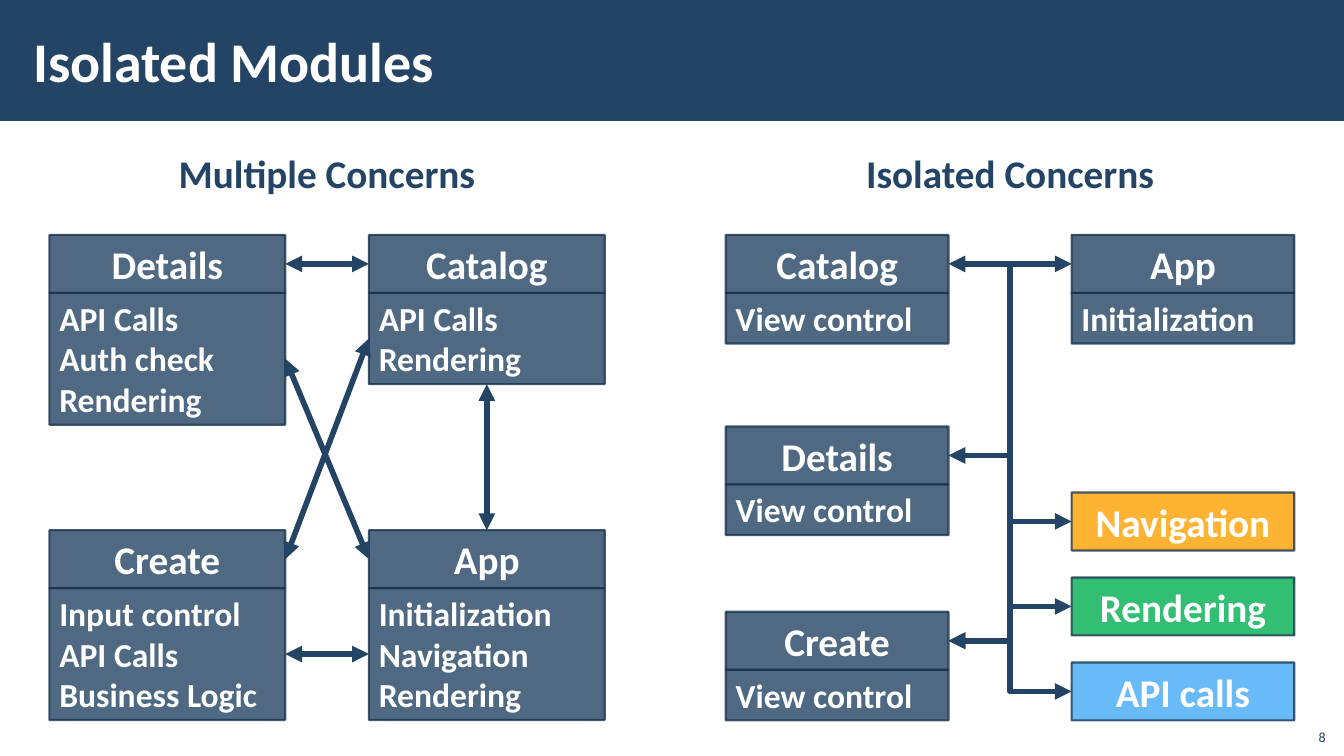
from lxml import etree
from pptx import Presentation
from pptx.dml.color import RGBColor
from pptx.enum.shapes import MSO_CONNECTOR, MSO_SHAPE
from pptx.enum.text import MSO_ANCHOR, PP_ALIGN
from pptx.oxml.ns import qn
from pptx.util import Pt

RECTANGLE = MSO_SHAPE.RECTANGLE
STRAIGHT, ELBOW = MSO_CONNECTOR.STRAIGHT, MSO_CONNECTOR.ELBOW
TOP, MIDDLE, BOTTOM = MSO_ANCHOR.TOP, MSO_ANCHOR.MIDDLE, MSO_ANCHOR.BOTTOM
LEFT, CENTER, RIGHT = PP_ALIGN.LEFT, PP_ALIGN.CENTER, PP_ALIGN.RIGHT

NAVY = RGBColor(0x23, 0x44, 0x65)
OUTLINE = RGBColor(0x1A, 0x33, 0x4C)
WHITE = RGBColor(0xFF, 0xFF, 0xFF)
ORANGE = RGBColor(0xFF, 0xA0, 0x00)
GREEN = RGBColor(0x00, 0xB0, 0x50)
BLUE = RGBColor(0x44, 0xA9, 0xF8)

FONT = "Calibri"
SLIDE_WIDTH, SLIDE_HEIGHT = 960, 540
HEADER_HEIGHT = 41.4
# Connection sites of a rectangle
SITE_TOP, SITE_LEFT, SITE_BOTTOM, SITE_RIGHT = range(4)


def write_text(shape, text, size, color, bold=True, align=LEFT, anchor=TOP,
               spacing=None):
    frame = shape.text_frame
    frame.text = text
    frame.word_wrap = True
    frame.vertical_anchor = anchor
    for paragraph in frame.paragraphs:
        paragraph.alignment = align
        if spacing:
            paragraph.line_spacing = spacing
        for run in paragraph.runs:
            run.font.name = FONT
            run.font.size = Pt(size)
            run.font.bold = bold
            run.font.color.rgb = color


def add_label(slide, box, text, size, color, **text_format):
    shape = slide.shapes.add_textbox(*map(Pt, box))
    write_text(shape, text, size, color, **text_format)
    return shape


def make_translucent(fill_parent):
    """Give the solid fill under an element 80 % opacity."""
    color = fill_parent.find(qn("a:solidFill"))[0]
    etree.SubElement(color, qn("a:alpha")).set("val", "80000")


def add_block(slide, box, text, size, fill=NAVY, **text_format):
    shape = slide.shapes.add_shape(RECTANGLE, *map(Pt, box))
    shape.shadow.inherit = False
    shape.fill.solid()
    shape.fill.fore_color.rgb = fill
    shape.line.color.rgb = OUTLINE
    shape.line.width = Pt(1.5)
    properties = shape._element.spPr
    make_translucent(properties)
    make_translucent(properties.find(qn("a:ln")))
    write_text(shape, text, size, WHITE, **text_format)
    return shape


def add_header(slide, left, top, width, name, fill=NAVY):
    return add_block(slide, (left, top, width, HEADER_HEIGHT), name, 28, fill,
                     align=CENTER, anchor=MIDDLE)


def add_module(slide, left, top, width, name, concerns):
    """Draw a module and return its header and its list of concerns."""
    body_height = 7.2 + 29 * len(concerns)
    body_box = (left, top + HEADER_HEIGHT, width, body_height)
    body = add_block(slide, body_box, "\n".join(concerns), 24)
    return add_header(slide, left, top, width, name), body


def add_link(slide, kind, start, start_site, end, end_site):
    """Join two blocks with a two-headed arrow."""
    link = slide.shapes.add_connector(kind, 0, 0, 0, 0)
    link.begin_connect(start, start_site)
    link.end_connect(end, end_site)
    link.line.color.rgb = NAVY
    link.line.width = Pt(4)
    line = link.line._get_or_add_ln()
    for arrow_end in ("a:headEnd", "a:tailEnd"):
        etree.SubElement(line, qn(arrow_end)).set("type", "triangle")
    etree.SubElement(link._element.spPr, qn("a:effectLst"))


def add_title_bar(slide, left, top, width, height):
    bar = slide.shapes.add_shape(RECTANGLE, *map(Pt, (left, top, width, height)))
    bar.shadow.inherit = False
    bar.fill.solid()
    bar.fill.fore_color.rgb = NAVY
    bar.line.fill.background()
    title = add_label(slide, (left + 15.1, top + 8, 765, height - 16.4),
                      "Isolated Modules", 40, WHITE, anchor=MIDDLE)
    title.text_frame.margin_left = title.text_frame.margin_right = Pt(8.64)


def add_heading(slide, center, top, text):
    heading = add_label(slide, (center - 127, top, 254, 41), text, 28, NAVY,
                        align=CENTER, spacing=1.1)
    heading.text_frame.margin_left = heading.text_frame.margin_right = Pt(2.88)


def add_multiple_concerns(slide, left, top, width):
    add_heading(slide, left + width / 2 - 0.2, top, "Multiple Concerns")
    module_width = 168.5
    right_column = left + width - module_width
    upper, lower = top + 67.7, top + 278.6

    catalog, catalog_body = add_module(
        slide, right_column, upper, module_width, "Catalog",
        ["API Calls", "Rendering"])
    details, details_body = add_module(
        slide, left, upper, module_width, "Details",
        ["API Calls", "Auth check", "Rendering"])
    create, create_body = add_module(
        slide, left, lower, module_width, "Create",
        ["Input control", "API Calls", "Business Logic"])
    app, app_body = add_module(
        slide, right_column, lower, module_width, "App",
        ["Initialization", "Navigation", "Rendering"])

    add_link(slide, STRAIGHT, app, SITE_TOP, catalog_body, SITE_BOTTOM)
    for start, end in ((create_body, app_body), (details_body, app),
                       (details, catalog), (create, catalog_body)):
        add_link(slide, STRAIGHT, start, SITE_RIGHT, end, SITE_LEFT)


def add_isolated_concerns(slide, left, top, width):
    add_heading(slide, left + width / 2, top, "Isolated Concerns")
    block_width = 159.1
    right_column = left + width - block_width
    upper = top + 67.7

    views = {}
    for name, offset in (("Create", 269.2), ("Details", 136.8), ("Catalog", 0)):
        views[name], _ = add_module(slide, left, upper + offset, block_width,
                                    name, ["View control"])
    app, _ = add_module(slide, right_column, upper, block_width, "App",
                        ["Initialization"])

    services = {}
    for row, (name, fill) in enumerate((("Navigation", ORANGE),
                                        ("Rendering", GREEN),
                                        ("API calls", BLUE))):
        services[name] = add_header(slide, right_column, upper + 184 + 60.7 * row,
                                    block_width, name, fill)

    for view, target in (("Catalog", services["API calls"]),
                         ("Details", services["Rendering"]),
                         ("Create", services["Navigation"]),
                         ("Create", app)):
        add_link(slide, ELBOW, views[view], SITE_RIGHT, target, SITE_LEFT)


def main():
    presentation = Presentation()
    presentation.slide_width = Pt(SLIDE_WIDTH)
    presentation.slide_height = Pt(SLIDE_HEIGHT)
    slide = presentation.slides.add_slide(presentation.slide_layouts[6])
    add_title_bar(slide, 0, 0, SLIDE_WIDTH, 86.4)
    add_label(slide, (925.2, 512.6, 28.8, 23), "8", 10, NAVY, bold=False,
              align=RIGHT, anchor=BOTTOM)
    add_multiple_concerns(slide, 35.3, 100.1, 396.7)
    add_isolated_concerns(slide, 518.4, 100.1, 406.1)
    presentation.save("out.pptx")


if __name__ == "__main__":
    main()
